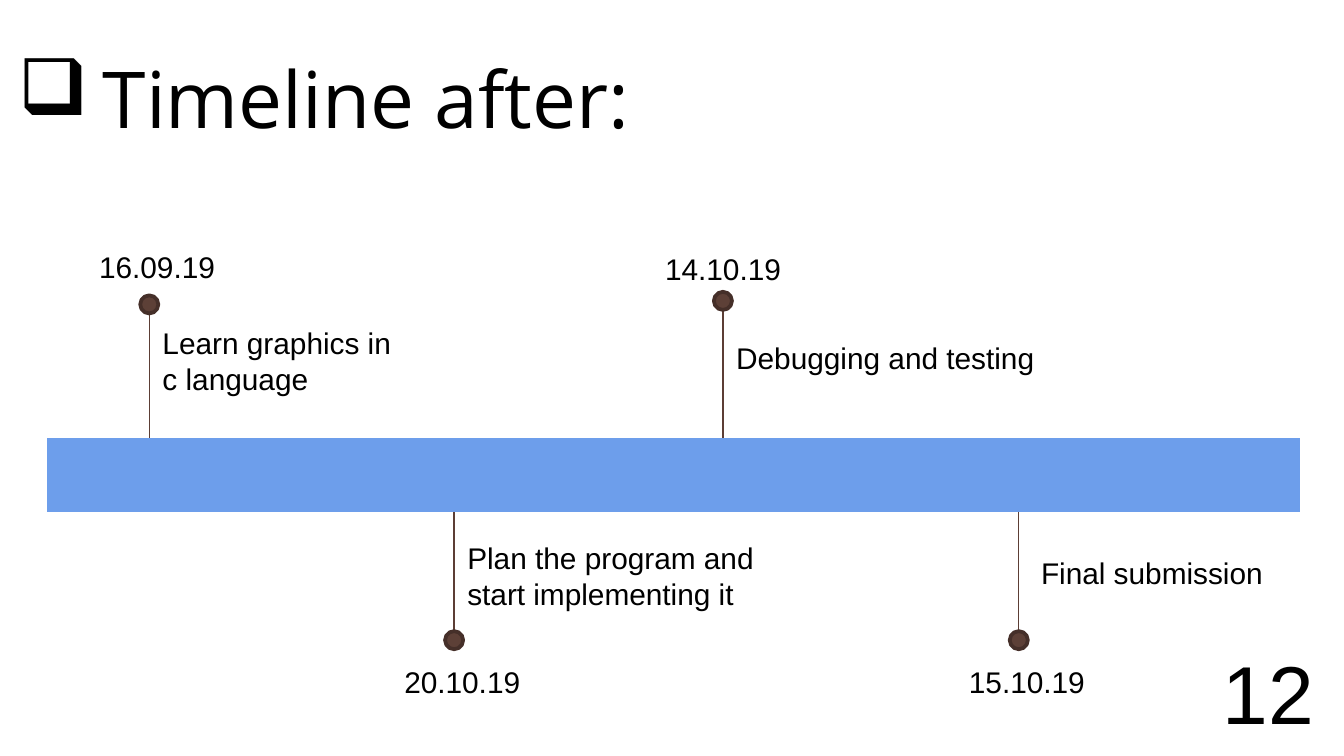
from dataclasses import dataclass

from lxml.etree import SubElement
from pptx import Presentation
from pptx.dml.color import RGBColor
from pptx.enum.shapes import MSO_CONNECTOR, MSO_SHAPE
from pptx.oxml.ns import qn
from pptx.slide import Slide
from pptx.text.text import TextFrame
from pptx.util import Pt

BLACK = RGBColor(0x00, 0x00, 0x00)
BAR_BLUE = RGBColor(0x6D, 0x9E, 0xEB)
STEM_BROWN = RGBColor(0x5C, 0x3E, 0x35)
DOT_BROWN = RGBColor(0x5D, 0x40, 0x37)
RIM_BROWN = RGBColor(0x45, 0x2F, 0x29)

BAR_LEFT, BAR_TOP, BAR_HEIGHT = 25.2, 234.7, 39.6
BAR_COLUMNS = (90.7, 244.8, 167.8, 167.8)
DOT_SIZE = 9.7
LABEL_FORMAT = {"name": "Arial", "size": Pt(16)}
TITLE_FORMAT = {"name": "Open Sans", "size": Pt(42)}
NUMBER_FORMAT = {"name": "Arial", "size": Pt(44)}


@dataclass(frozen=True)
class Milestone:
    date: str
    task: str
    x: float
    dot_y: float
    date_left: float
    date_top: float
    task_left: float
    task_top: float
    task_width: float
    wraps: bool = False


MILESTONES = (
    Milestone("15.10.19", "Final submission", 545.8, 343, 512, 352, 550.6, 293.8, 135),
    Milestone("14.10.19", "Debugging and testing", 387.3, 161.2, 349.2, 131,
              387.3, 178.6, 176),
    Milestone("20.10.19", "Plan the program and start implementing it", 243.3, 343,
              209.5, 352, 243.3, 285.8, 189.4, True),
    Milestone("16.09.19", "Learn graphics in c language", 80, 163.1, 46, 129.6,
              80, 170.6, 139.7, True),
)


def add_text(slide: Slide, text: str, left: float, top: float, width: float,
             height: float, font_format: dict, wraps: bool = True) -> TextFrame:
    frame = slide.shapes.add_textbox(Pt(left), Pt(top), Pt(width), Pt(height)).text_frame
    frame.word_wrap = wraps
    run = frame.paragraphs[0].add_run()
    run.text = text
    for attribute, value in font_format.items():
        setattr(run.font, attribute, value)
    run.font.color.rgb = BLACK
    return frame


def add_marker(slide: Slide, milestone: Milestone) -> None:
    above = milestone.dot_y < BAR_TOP
    bar_edge = BAR_TOP if above else BAR_TOP + BAR_HEIGHT
    dot_edge = milestone.dot_y + (DOT_SIZE / 2 if above else -DOT_SIZE / 2)
    stem = slide.shapes.add_connector(
        MSO_CONNECTOR.STRAIGHT, Pt(milestone.x), Pt(bar_edge), Pt(milestone.x), Pt(dot_edge))
    stem.line.color.rgb = STEM_BROWN
    stem.line.width = Pt(0.75)
    SubElement(stem._element.spPr, qn("a:effectLst"))
    dot = slide.shapes.add_shape(
        MSO_SHAPE.OVAL, Pt(milestone.x - DOT_SIZE / 2), Pt(milestone.dot_y - DOT_SIZE / 2),
        Pt(DOT_SIZE), Pt(DOT_SIZE))
    dot.shadow.inherit = False
    dot.fill.solid()
    dot.fill.fore_color.rgb = DOT_BROWN
    dot.line.color.rgb = RIM_BROWN
    dot.line.width = Pt(2)


def add_bar(slide: Slide) -> None:
    bar = slide.shapes.add_table(1, len(BAR_COLUMNS), Pt(BAR_LEFT), Pt(BAR_TOP),
                                 Pt(sum(BAR_COLUMNS)), Pt(BAR_HEIGHT)).table
    for column, width in zip(bar.columns, BAR_COLUMNS):
        column.width = Pt(width)
    for cell in bar.iter_cells():
        properties = cell._tc.get_or_add_tcPr()
        for edge in ("a:lnL", "a:lnR", "a:lnT", "a:lnB"):
            SubElement(SubElement(properties, qn(edge), w="0"), qn("a:noFill"))
        cell.fill.solid()
        cell.fill.fore_color.rgb = BAR_BLUE


def add_title(slide: Slide) -> None:
    frame = add_text(slide, "Timeline after:", 2.9, 23.8, 671, 82.8, TITLE_FORMAT)
    frame.margin_top = Pt(3)
    properties = frame.paragraphs[0]._p.get_or_add_pPr()
    properties.set("marL", str(Pt(45)))
    properties.set("indent", str(Pt(-45)))
    SubElement(SubElement(properties, qn("a:buClr")), qn("a:srgbClr"), val=str(BLACK))
    SubElement(properties, qn("a:buChar"), char="❑")


def main() -> None:
    presentation = Presentation()
    presentation.slide_width, presentation.slide_height = Pt(720), Pt(405)
    slide = presentation.slides.add_slide(presentation.slide_layouts[6])
    for milestone in MILESTONES:
        add_marker(slide, milestone)
    add_title(slide)
    add_bar(slide)
    number = add_text(slide, "12", 648, 337, 72.7, 56.2, NUMBER_FORMAT)
    number.margin_top = Pt(7.2)
    for milestone in MILESTONES:
        add_text(slide, milestone.date, milestone.date_left, milestone.date_top,
                 77, 26.6, LABEL_FORMAT, False)
        add_text(slide, milestone.task, milestone.task_left, milestone.task_top,
                 milestone.task_width, 46 if milestone.wraps else 26.6,
                 LABEL_FORMAT, milestone.wraps)
    presentation.save("out.pptx")


if __name__ == "__main__":
    main()
